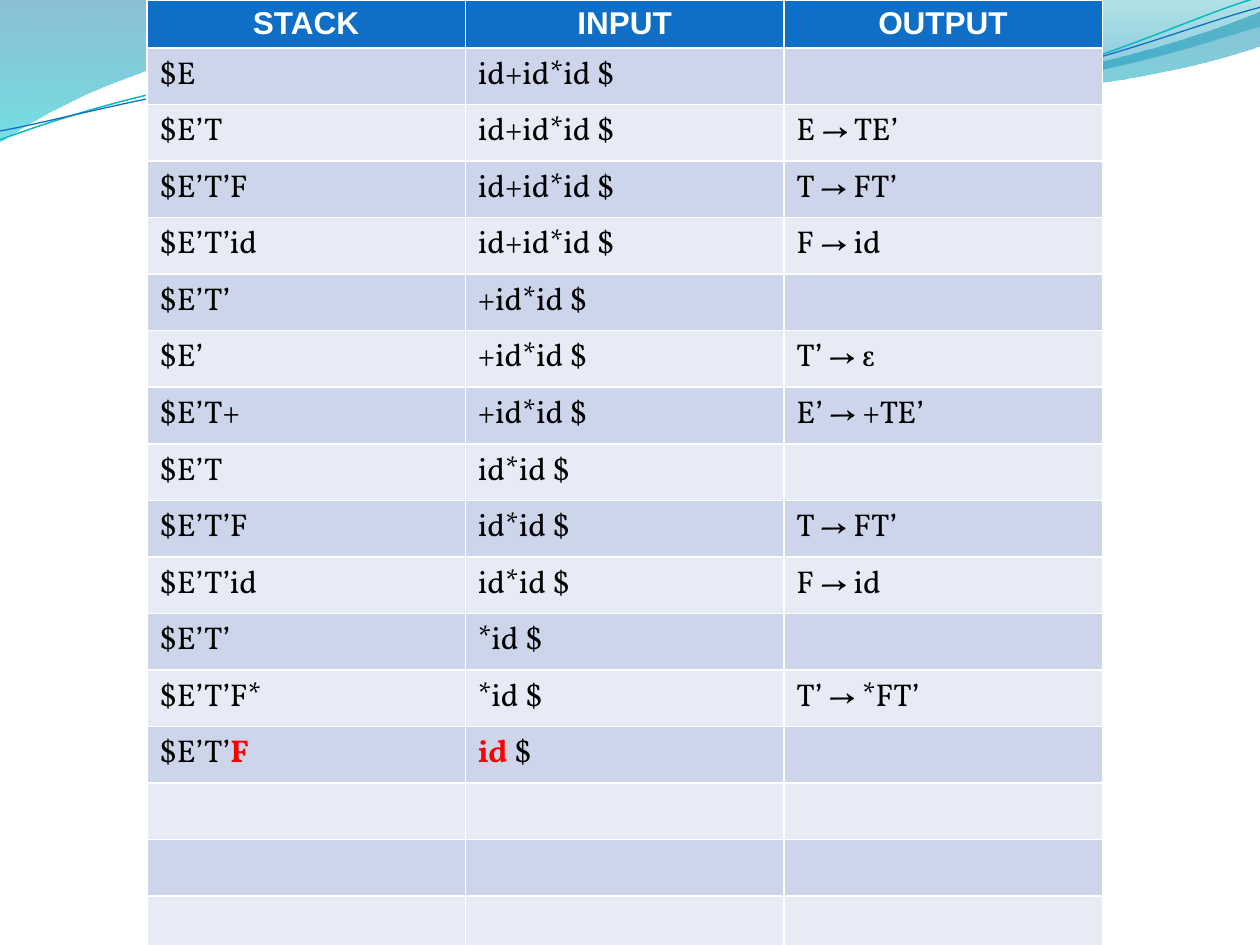
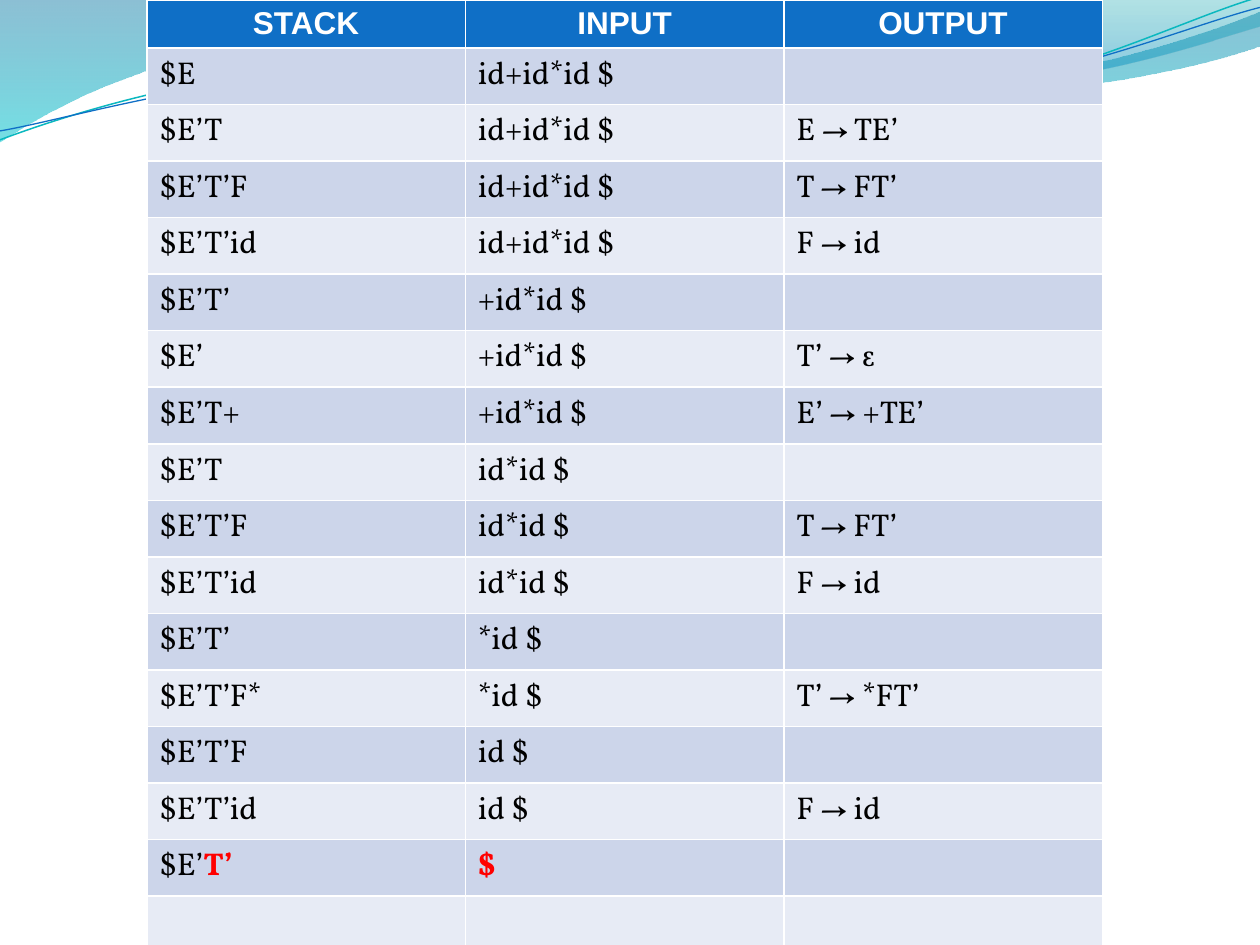
from pptx import Presentation
from pptx import util as u
from pptx.dml.color import RGBColor
from pptx.enum import text
from pptx.oxml import ns, xmlchemy

BLUE, TEAL, WHITE, BLACK, RED = "0F6FC6", "0AB8BF", "FFFFFF", "000000", "FF0000"
BANDS = ("CCD5EA", "E7EBF5")
HEADINGS = ("STACK", "INPUT", "OUTPUT")
BODY_ROWS = 17
BODY_FONT, BODY_SIZE = "Vollkorn", 18

UPPER_WAVE = [
    (0, -0.03), (11.18, -0.03),
    (12.09, 0.43, 16.87, 1.6, 19.25, 1.6),
    (21.67, 1.6, 24.33, 0.66, 25.4, 0.23),
    (25.43, 0.91),
    (24.97, 1.12, 22.1, 1.93, 18.95, 1.9),
    (15.8, 1.9, 9.7, 0.71, 6.53, 0.86),
    (3.28, 0.89, 1.17, 2.11, -0.03, 2.87),
]
RIGHT_WAVE = [
    (12.17, -0.03),
    (12.93, 0.28, 17.32, 1.57, 19.53, 1.65),
    (21.74, 1.75, 24.41, 0.81, 25.4, 0.53),
    (25.4, 0),
]
TEAL_CURVE = [
    (-0.05, 2.22),
    (1.19, 1.82, 4.02, 1.04, 7.05, 1.05),
    (10.05, 1.07, 15.02, 2.37, 18.08, 2.29),
    (21.13, 2.2, 23.87, 0.91, 25.41, 0.55),
]
BLUE_CURVE = [
    (-0.04, 2.04),
    (1.16, 1.9, 4.18, 1.15, 7.2, 1.16),
    (10.25, 1.18, 15.13, 2.23, 18.18, 2.16),
    (21.21, 2.1, 23.93, 1.06, 25.45, 0.75),
]

SHARED_STEPS = [
    ("$E", "id+id*id $", ""),
    ("$E’T", "id+id*id $", "E → TE’"),
    ("$E’T’F", "id+id*id $", "T → FT’"),
    ("$E’T’id", "id+id*id $", "F → id"),
    ("$E’T’", "+id*id $", ""),
    ("$E’", "+id*id $", "T’ → ε"),
    ("$E’T+", "+id*id $", "E’ → +TE’"),
    ("$E’T", "id*id $", ""),
    ("$E’T’F", "id*id $", "T → FT’"),
    ("$E’T’id", "id*id $", "F → id"),
    ("$E’T’", "*id $", ""),
    ("$E’T’F*", "*id $", "T’ → *FT’"),
]
MATCH_ID = [(("$E’T’", "F", ""), ("", "id", " $"), "")]
MATCH_END = [
    ("$E’T’F", "id $", ""),
    ("$E’T’id", "id $", "F → id"),
    (("$E’", "T’", ""), ("", "$", ""), ""),
]


def color(value):
    return RGBColor.from_string(value)


def element(tag, **attributes):
    node = xmlchemy.OxmlElement(tag)
    for name, value in attributes.items():
        node.set(name, str(value))
    return node


def write(para, content, font=BODY_FONT, size=BODY_SIZE, ink=BLACK, bold=False, align=None):
    if align is not None:
        para.alignment = align
    span = para.add_run()
    span.text = content
    span.font.name = font
    span.font.size = u.Pt(size)
    span.font.bold = bold
    span.font.color.rgb = color(ink)


def bend(shape, segments):
    lines = list(shape._element.spPr.iter(ns.qn("a:lnTo")))
    for segment in segments[1:]:
        count = len(segment) // 2
        group, lines = lines[:count], lines[count:]
        if count == 3:
            curve = element("a:cubicBezTo")
            group[0].addprevious(curve)
            for line in group:
                curve.append(line[0])
                line.getparent().remove(line)


class Slides:
    def __init__(self):
        self.deck = Presentation()
        self.deck.slide_width = u.Cm(25.4)
        self.deck.slide_height = u.Cm(19.05)

    def new_page(self):
        self.page = self.deck.slides.add_slide(self.deck.slide_layouts[6])
        self.wave(UPPER_WAVE, (0, "0074A1", 45), (1, "00C6CF", 55))
        self.wave(RIGHT_WAVE, (0, "00A1A9", 30), (0.8, "008BBF", 45))
        self.curve(TEAL_CURVE, TEAL, 0.85)
        self.curve(BLUE_CURVE, BLUE, 0.75)

    def outline(self, segments, close):
        points = [(u.Cm(x), u.Cm(y)) for segment in segments
                  for x, y in zip(segment[::2], segment[1::2])]
        builder = self.page.shapes.build_freeform(*points[0])
        builder.add_line_segments(points[1:], close=close)
        shape = builder.convert_to_shape()
        shape.shadow.inherit = False
        bend(shape, segments)
        return shape

    def wave(self, segments, *stops):
        shape = self.outline(segments, True)
        shape.line.fill.background()
        shape.fill.gradient()
        shape.fill.gradient_angle = 270
        for stop, (position, tint, _) in zip(shape.fill.gradient_stops, stops):
            stop.position = position
            stop.color.rgb = color(tint)
        tints = shape._element.spPr.iter(ns.qn("a:srgbClr"))
        for tint, (_, _, opacity) in zip(tints, stops):
            tint.append(element("a:alpha", val=opacity * 1000))

    def curve(self, segments, ink, width):
        shape = self.outline(segments, False)
        shape.rotation = 357.3
        shape.fill.background()
        shape.line.color.rgb = color(ink)
        shape.line.width = u.Pt(width)

    def parse_table(self, steps):
        blanks = [("", "", "")] * (BODY_ROWS - len(steps))
        rows = [HEADINGS] + steps + blanks
        column_width, height = u.Cm(6.42), u.Cm(18.29)
        frame = self.page.shapes.add_table(
            len(rows), len(HEADINGS), u.Cm(2.96), 0, column_width * len(HEADINGS), height)
        table = frame.table
        for column in table.columns:
            column.width = column_width
        for index, (row, values) in enumerate(zip(table.rows, rows)):
            row.height = u.Cm(0.81)
            for cell, value in zip(row.cells, values):
                cell.fill.solid()
                cell.fill.fore_color.rgb = color(BANDS[(index - 1) % 2] if index else BLUE)
                self.cell_text(cell, value, heading=index == 0)
        frame.height = height

    def cell_text(self, cell, value, heading):
        para = cell.text_frame.paragraphs[0]
        if heading:
            write(para, value, font="Arial", ink=WHITE, bold=True,
                  align=text.PP_ALIGN.CENTER)
            return
        before, marked, after = value if isinstance(value, tuple) else (value, "", "")
        for content, ink in ((before, BLACK), (marked, RED), (after, BLACK)):
            if content:
                write(para, content, ink=ink, bold=ink == RED)
        if not value:
            ending = element("a:endParaRPr", sz=BODY_SIZE * 100)
            ending.append(element("a:latin", typeface=BODY_FONT))
            para._p.append(ending)


def main():
    slides = Slides()
    for last_steps in (MATCH_ID, MATCH_END):
        slides.new_page()
        slides.parse_table(SHARED_STEPS + last_steps)
    slides.deck.save("out.pptx")


if __name__ == "__main__":
    main()
